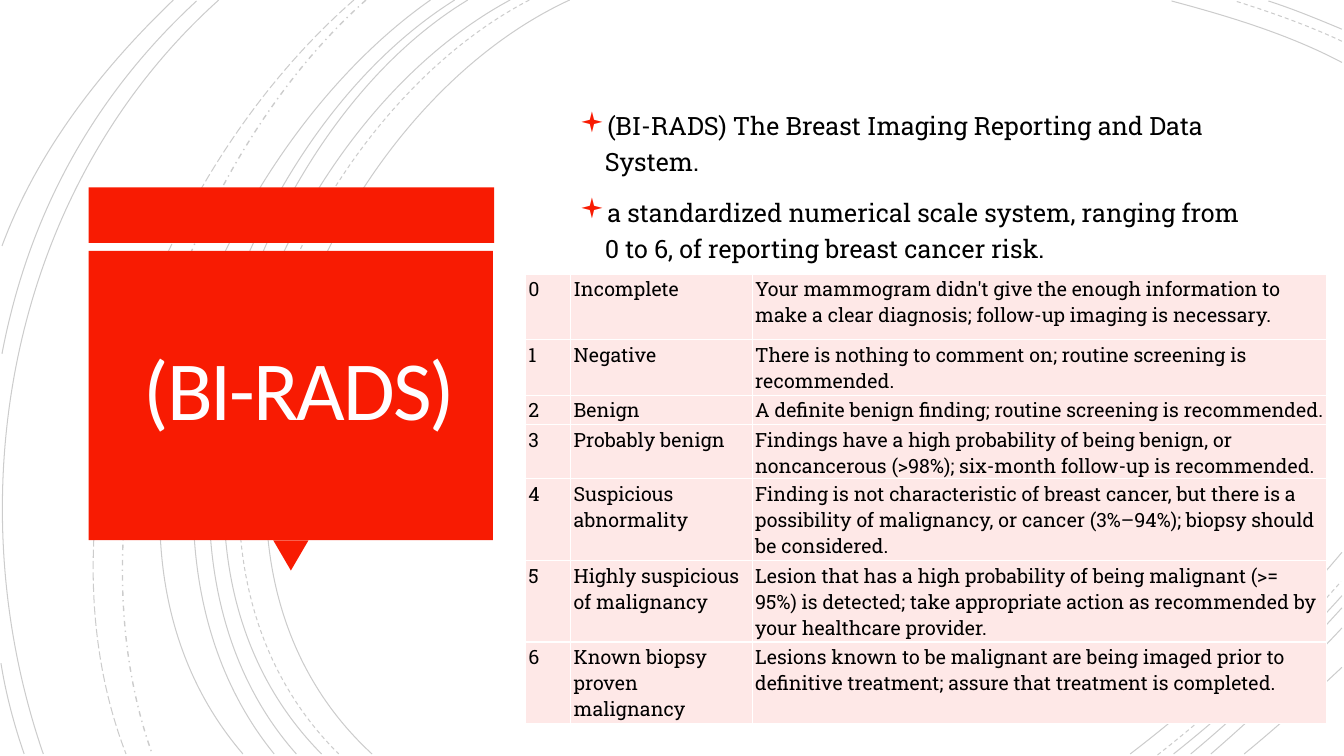
from dataclasses import dataclass
from typing import NamedTuple

from lxml.etree import SubElement
from pptx import Presentation
from pptx.dml.color import RGBColor as Color
from pptx.enum.dml import MSO_LINE_DASH_STYLE as Dash
from pptx.enum.shapes import MSO_SHAPE as Kind
from pptx.enum.text import MSO_ANCHOR as Anchor, PP_ALIGN as Align
from pptx.oxml.ns import qn
from pptx.slide import Slide
from pptx.table import _Cell as Cell
from pptx.text.text import TextFrame as Frame, _Paragraph as Para
from pptx.util import Inches, Pt


@dataclass(frozen=True)
class Theme:
    red: str = "F81B02"
    pink: str = "FEE8E7"
    white: str = "FFFFFF"
    cream: str = "FFFEFF"
    black: str = "000000"
    sans: str = "Calibri"
    slab: str = "Roboto Slab"
    mark: str = "Wingdings"
    head: float = 60
    body: float = 18
    small: float = 14
    rule: float = 0.75


class Point(NamedTuple):
    x: float
    y: float


class Arc(NamedTuple):
    points: list[Point]
    dash: Dash
    width: float


class Block(NamedTuple):
    kind: Kind
    left: float
    top: float
    width: float
    height: float
    turn: float = 0


class Grade(NamedTuple):
    score: str
    name: str
    advice: str
    height: float


THEME = Theme()


def arc(*nums: float, dash: Dash = Dash.SOLID, width: float = THEME.rule) -> Arc:
    return Arc([Point(x, y) for x, y in zip(nums[::2], nums[1::2])], dash, width)


ARCS = [
    arc(5.65, 0, 3.15, 1.15, 1.43, 5.4, 3.69, 7.48),
    arc(13.31, 0.62, 12.78, 0.34, 12.18, 0.16, 11.62, 0.01),
    arc(11.21, 7.48, 11.97, 6.9, 12.69, 6.22, 13.31, 5.48),
    arc(5.25, 0, 2.85, 1.25, 1.23, 5.37, 3.36, 7.48, dash=Dash.DASH),
    arc(13.31, 0.41, 12.97, 0.25, 12.6, 0.12, 12.25, 0.01, dash=Dash.DASH),
    arc(11.48, 7.49, 12.13, 6.98, 12.75, 6.4, 13.3, 5.77, dash=Dash.DASH),
    arc(5.06, 0, 2.7, 1.27, 1.1, 5.37, 3.19, 7.48),
    arc(13.31, 0.29, 13.07, 0.19, 12.83, 0.09, 12.58, 0.01),
    arc(11.64, 7.48, 12.23, 7.01, 12.8, 6.48, 13.31, 5.91),
    arc(4.64, 0, 2.44, 1.33, 1.1, 5.41, 2.94, 7.48),
    arc(11.81, 7.48, 12.34, 7.04, 12.84, 6.55, 13.31, 6.03),
    arc(4.51, 0, 2.31, 1.38, 0.97, 5.33, 2.72, 7.48),
    arc(12.01, 7.48, 12.46, 7.09, 12.9, 6.67, 13.31, 6.23),
    arc(4.27, 0, 2.17, 1.47, 0.53, 5.29, 2.41, 7.48),
    arc(12.34, 7.48, 12.67, 7.21, 12.99, 6.92, 13.31, 6.62),
    arc(3.63, 0, 1.76, 1.66, 0.65, 5.09, 1.51, 7.48, dash=Dash.DASH_DOT, width=1),
    arc(3.51, 0, 1.57, 1.69, 0.29, 4.99, 1.25, 7.48, dash=Dash.LONG_DASH),
    arc(2.17, 0, 0.11, 1.85, -0.46, 4.9, 0.43, 7.48),
    arc(1.95, 0.01, 0.92, 0.96, 0.28, 2.14, 0.02, 3.51),
    arc(0.01, 6.58, 0.06, 6.89, 0.14, 7.19, 0.24, 7.48),
    arc(1.72, 0, 1, 0.69, 0.37, 1.5, 0.02, 2.44),
]
BLOCKS = [
    Block(Kind.RECTANGLE, 0.88, 1.86, 4.02, 0.55),
    Block(Kind.ISOSCELES_TRIANGLE, 2.71, 5.36, 0.35, 0.3, 180),
    Block(Kind.RECTANGLE, 0.88, 2.49, 4.01, 2.87),
]
POINTS = [
    "(BI-RADS) The Breast Imaging Reporting and Data System.",
    "a standardized numerical scale system, ranging from 0 to 6, of reporting breast cancer risk.",
]
GRADES = [
    Grade("0", "Incomplete", "Your mammogram didn't give the enough information to make a clear "
          "diagnosis; follow-up imaging is necessary.", 0.65),
    Grade("1", "Negative", "There is nothing to comment on; routine screening is recommended.", 0.55),
    Grade("2", "Benign", "A definite benign finding; routine screening is recommended.", 0.29),
    Grade("3", "Probably benign", "Findings have a high probability of being benign, or noncancerous "
          "(>98%); six-month follow-up is recommended.", 0.54),
    Grade("4", "Suspicious abnormality", "Finding is not characteristic of breast cancer, but there is a "
          "possibility of malignancy, or cancer (3%–94%); biopsy should be considered.", 0.81),
    Grade("5", "Highly suspicious of malignancy", "Lesion that has a high probability of being malignant "
          "(>= 95%) is detected; take appropriate action as recommended by your healthcare provider.", 0.81),
    Grade("6", "Known biopsy proven malignancy", "Lesions known to be malignant are being imaged prior to "
          "definitive treatment; assure that treatment is completed.", 0.81),
]
WIDTHS = [0.45, 1.8, 5.7]


def draw_arc(slide: Slide, curve: Arc) -> None:
    first, *rest = [(Inches(x), Inches(y)) for x, y in curve.points]
    pen = slide.shapes.build_freeform(*first)
    pen.add_line_segments(rest, close=False)
    shape = pen.convert_to_shape()
    track = shape._element.find(".//" + qn("a:path"))
    bend = SubElement(track, qn("a:cubicBezTo"))
    for step in track.findall(qn("a:lnTo")):
        bend.append(step[0])
        track.remove(step)
    shape.shadow.inherit = False
    shape.fill.background()
    shape.line.color.rgb = Color.from_string(THEME.black)
    shape.line.width = Pt(curve.width)
    shape.line.dash_style = curve.dash
    tint = shape.line._ln.find(".//" + qn("a:srgbClr"))
    SubElement(tint, qn("a:alpha"), val="20000")


def draw_block(slide: Slide, block: Block) -> None:
    shape = slide.shapes.add_shape(block.kind, *map(Inches, block[1:5]))
    shape.rotation = block.turn
    shape.shadow.inherit = False
    shape.fill.solid()
    shape.fill.fore_color.rgb = Color.from_string(THEME.red)
    shape.line.fill.background()


def add_box(slide: Slide, left: float, top: float, width: float, height: float) -> Frame:
    frame = slide.shapes.add_textbox(*map(Inches, (left, top, width, height))).text_frame
    frame.word_wrap = True
    frame.vertical_anchor = Anchor.MIDDLE
    return frame


def style(para: Para, size: float, face: str, color: str) -> None:
    for run in para.runs:
        run.font.size = Pt(size)
        run.font.name = face
        run.font.color.rgb = Color.from_string(color)


def add_mark(para: Para) -> None:
    props = para._p.get_or_add_pPr()
    props.set("marL", str(Inches(0.25)))
    props.set("indent", str(Inches(-0.25)))
    SubElement(SubElement(props, qn("a:buClr")), qn("a:srgbClr"), val=THEME.red)
    SubElement(props, qn("a:buSzPct"), val="110000")
    SubElement(props, qn("a:buFont"), typeface=THEME.mark)
    SubElement(props, qn("a:buChar"), char="▪")


def draw_title(slide: Slide) -> None:
    frame = add_box(slide, 0.97, 2.57, 3.83, 2.69)
    frame.margin_left = frame.margin_right = frame.margin_top = frame.margin_bottom = Inches(0.25)
    frame.text = " (BI-RADS)"
    para = frame.paragraphs[0]
    para.alignment = Align.CENTER
    para.line_spacing = 0.85
    style(para, THEME.head, THEME.sans, THEME.cream)
    para.runs[0].font._element.set("spc", "-150")


def draw_points(slide: Slide) -> None:
    frame = add_box(slide, 5.65, 0.49, 6.87, 2.67)
    frame.text = "\n".join(POINTS)
    for para in frame.paragraphs:
        para.line_spacing = 1.2
        para.space_before = Pt(10)
        add_mark(para)
        style(para, THEME.body, THEME.slab, THEME.black)


def fill_cell(cell: Cell, text: str) -> None:
    cell.margin_left = cell.margin_right = Inches(0.03)
    cell.margin_top = cell.margin_bottom = Inches(0.02)
    props = cell._tc.get_or_add_tcPr()
    for side in "LRTB":
        line = SubElement(props, qn(f"a:ln{side}"), w=str(Pt(1)))
        SubElement(SubElement(line, qn("a:solidFill")), qn("a:srgbClr"), val=THEME.white)
    cell.fill.solid()
    cell.fill.fore_color.rgb = Color.from_string(THEME.pink)
    cell.text_frame.text = text
    style(cell.text_frame.paragraphs[0], THEME.small, THEME.slab, THEME.black)


def draw_grades(slide: Slide) -> None:
    size = map(Inches, (5.21, 2.72, sum(WIDTHS), sum(g.height for g in GRADES)))
    table = slide.shapes.add_table(len(GRADES), len(WIDTHS), *size).table
    table.first_row = table.horz_banding = False
    for col, width in zip(table.columns, WIDTHS):
        col.width = Inches(width)
    for row, grade in zip(table.rows, GRADES):
        row.height = Inches(grade.height)
        for cell, text in zip(row.cells, grade[:3]):
            fill_cell(cell, text)


def main() -> None:
    deck = Presentation()
    deck.slide_width, deck.slide_height = Inches(13.33), Inches(7.5)
    slide = deck.slides.add_slide(deck.slide_layouts[6])
    for curve in ARCS:
        draw_arc(slide, curve)
    for block in BLOCKS:
        draw_block(slide, block)
    draw_title(slide)
    draw_points(slide)
    draw_grades(slide)
    deck.save("out.pptx")


if __name__ == "__main__":
    main()
